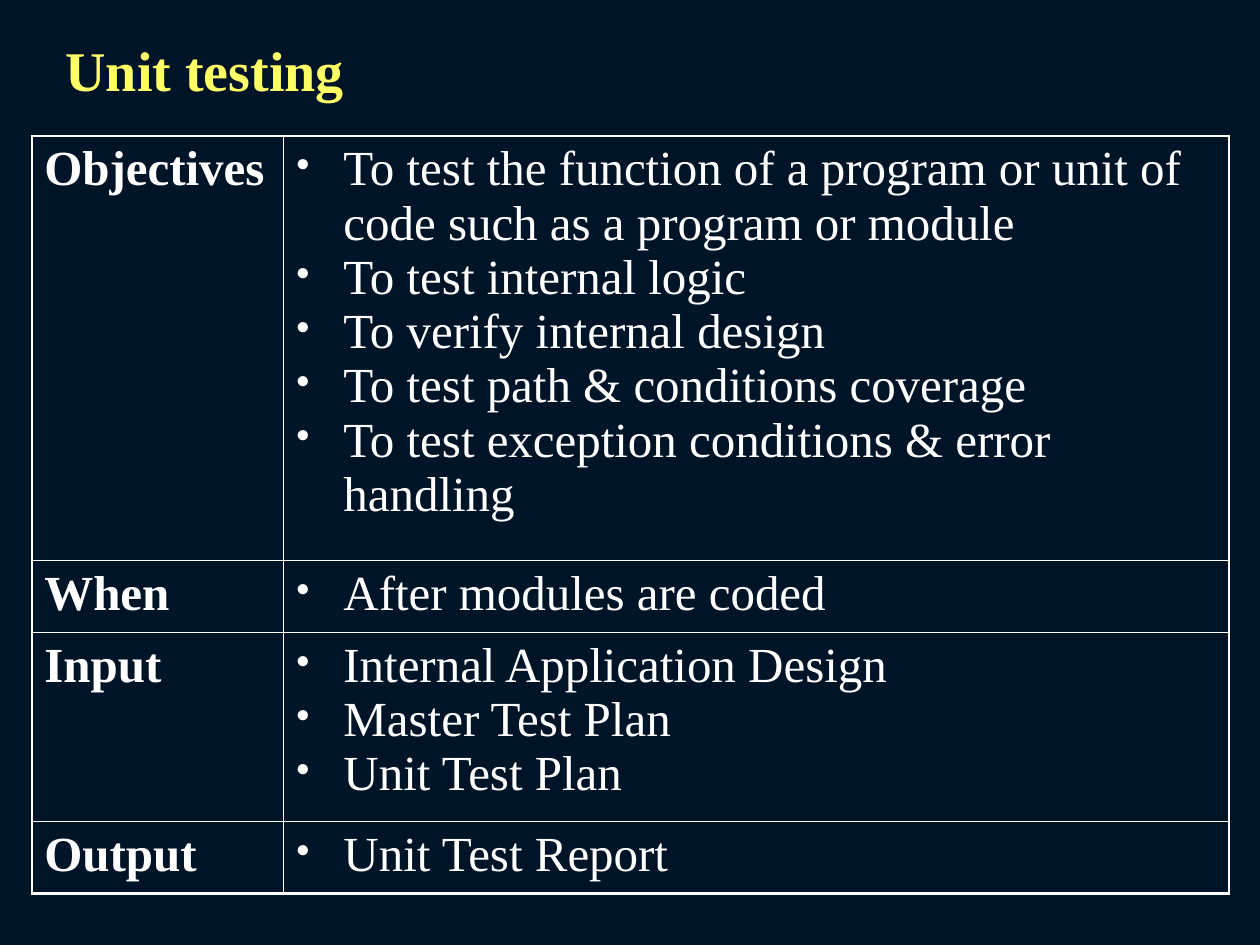
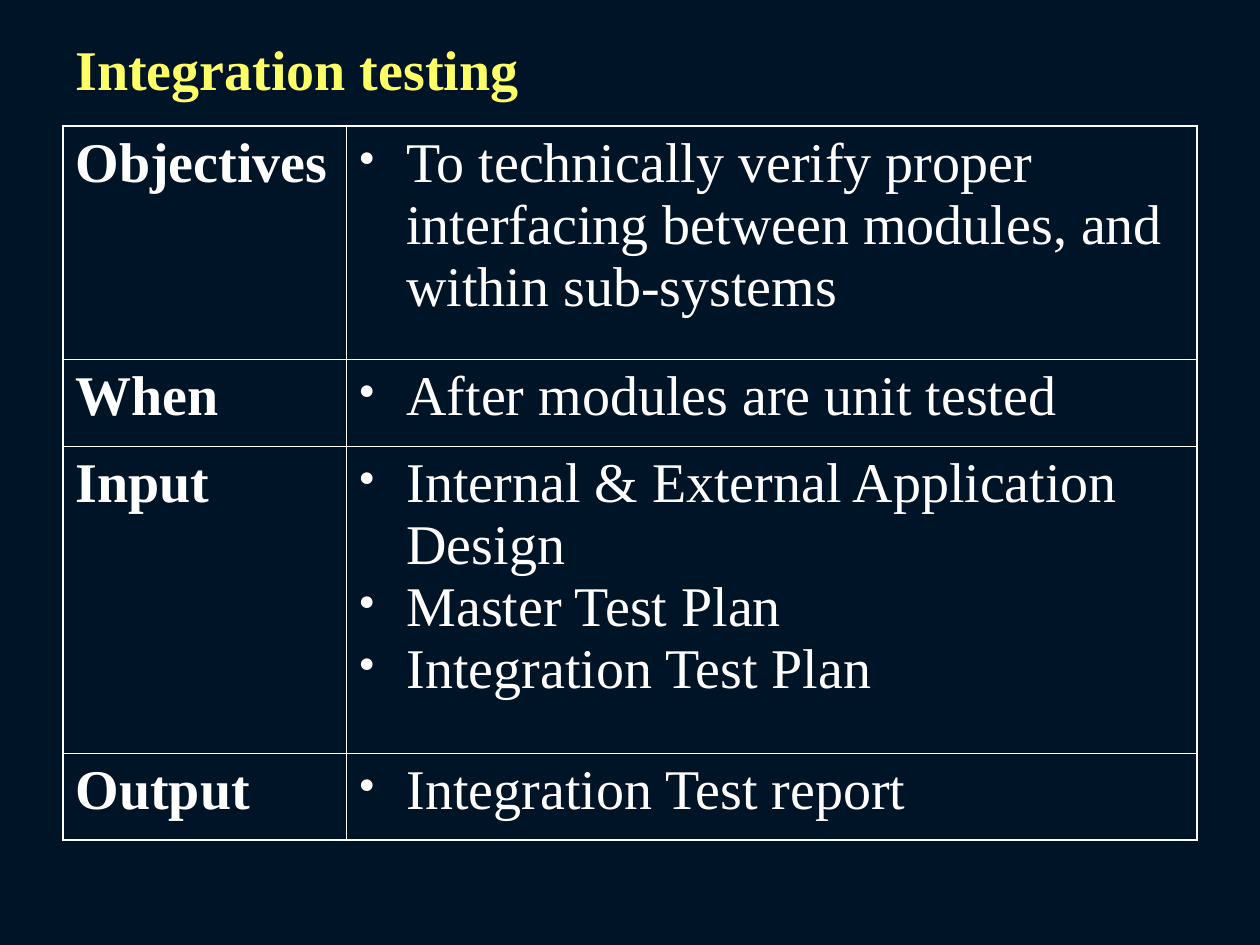
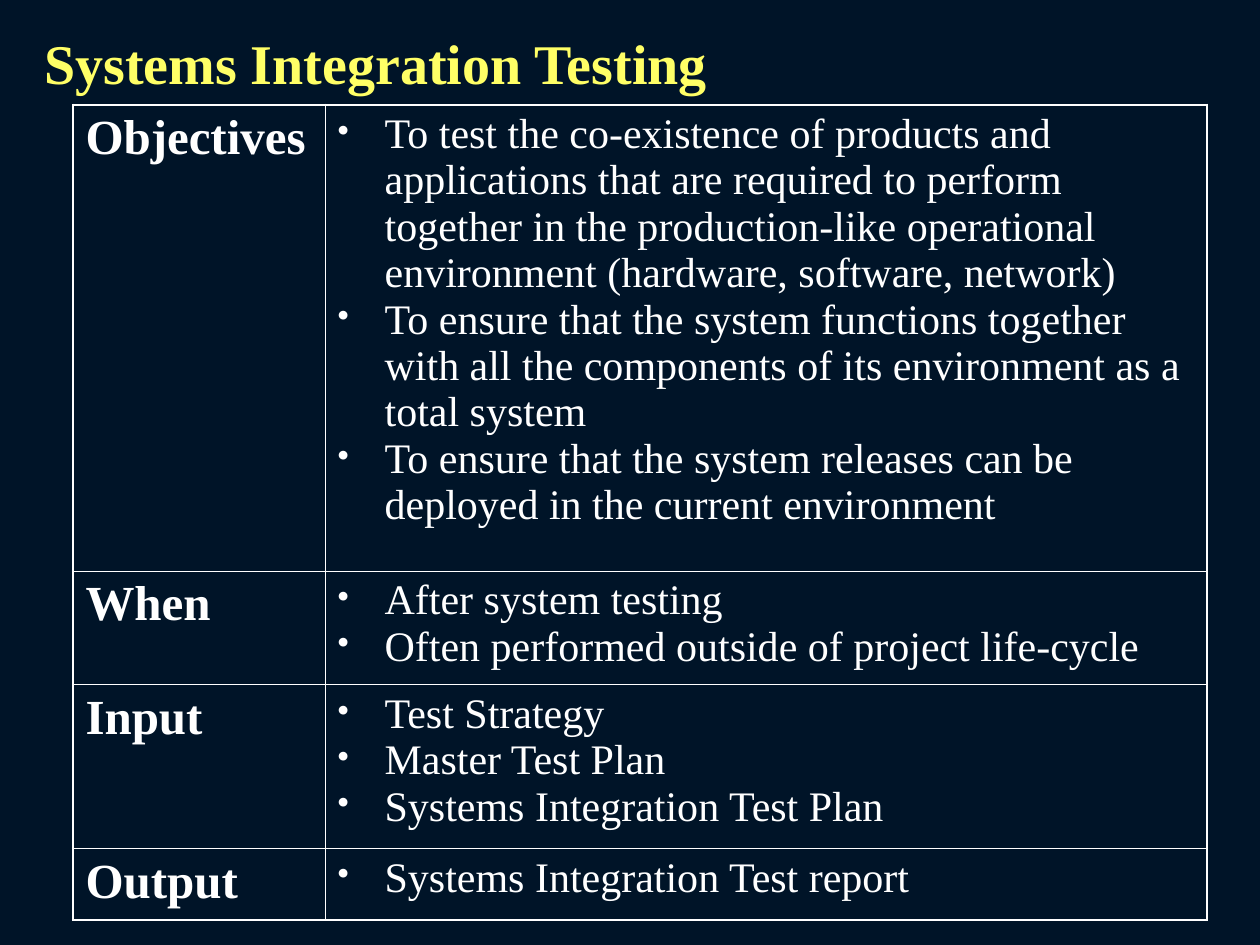
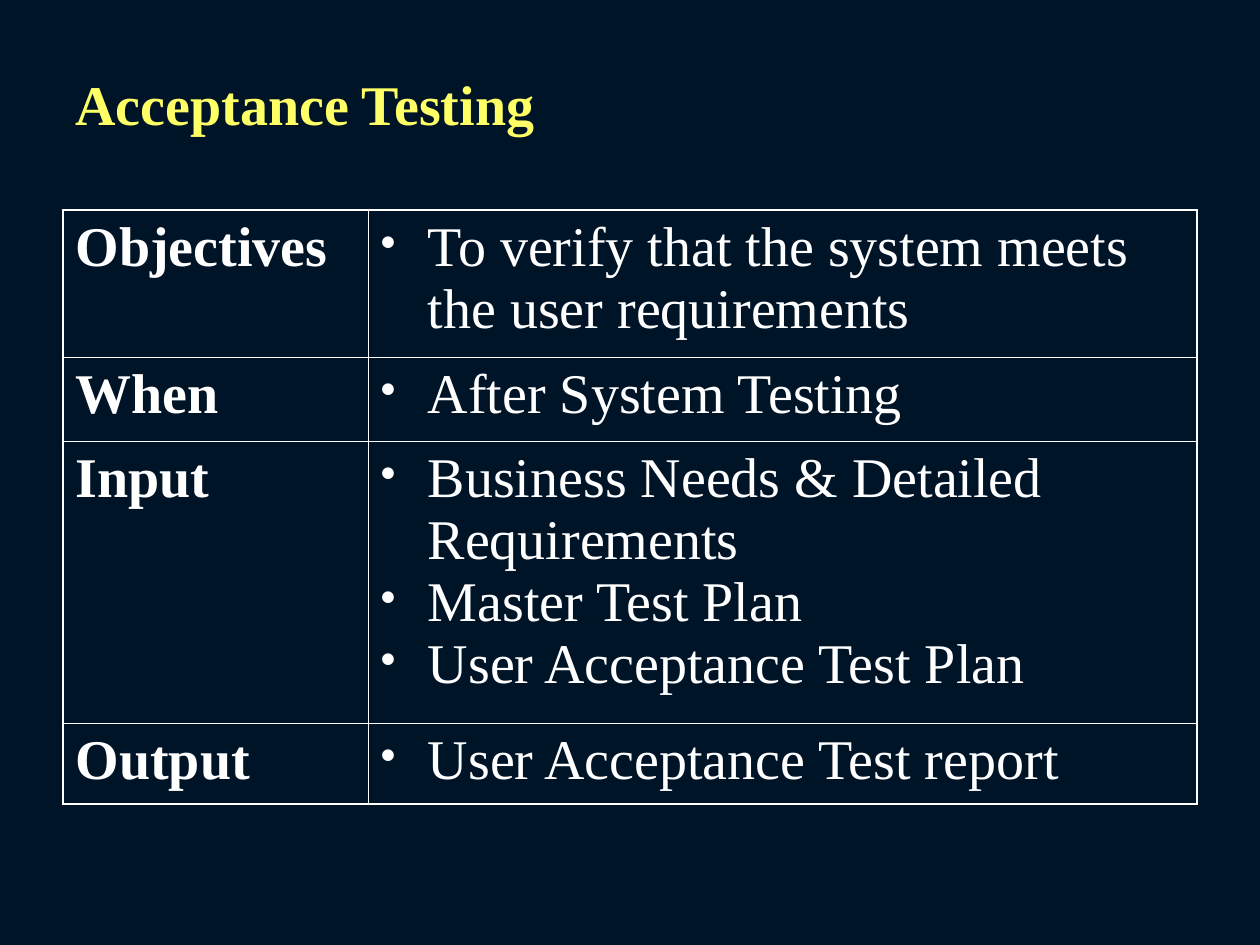
from lxml import etree
from pptx import Presentation
from pptx import util as u
from pptx.dml.color import RGBColor
from pptx.enum import text
from pptx.oxml import ns

NAVY = RGBColor(0x00, 0x14, 0x28)
YELLOW = RGBColor(0xFF, 0xFF, 0x66)
WHITE = RGBColor(0xFF, 0xFF, 0xFF)

LABELS = ("Objectives", "When", "Input", "Output")


class Deck:
    font = "Times New Roman"
    title_size = 32
    title_height = 1.63
    indent = u.Cm(0.95)
    outer_line = u.Pt(1.47)
    inner_line = u.Pt(0.45)

    def __init__(self):
        self.prs = Presentation()
        self.prs.slide_width = u.Cm(25.4)
        self.prs.slide_height = u.Cm(19.05)
        self.s = None

    def slide(self):
        self.s = self.prs.slides.add_slide(self.prs.slide_layouts[6])
        fill = self.s.background.fill
        fill.solid()
        fill.fore_color.rgb = NAVY

    def run(self, p, words, size, color, bold):
        r = p.add_run()
        r.text = words
        for key, value in {"name": self.font, "size": u.Pt(size), "bold": bold}.items():
            setattr(r.font, key, value)
        r.font.color.rgb = color

    def title(self, words, left, top, width, wrap=True, align=text.PP_ALIGN.LEFT):
        sp = self.s.shapes.add_textbox(*map(u.Cm, (left, top, width, self.title_height)))
        tf = sp.text_frame
        settings = {
            "word_wrap": wrap,
            "auto_size": text.MSO_AUTO_SIZE.SHAPE_TO_FIT_TEXT,
            "vertical_anchor": text.MSO_ANCHOR.MIDDLE,
        }
        for key, value in settings.items():
            setattr(tf, key, value)
        p = tf.paragraphs[0]
        p.alignment = align
        self.run(p, words, self.title_size, YELLOW, True)

    def hang(self, p, bullet):
        pPr = p._p.get_or_add_pPr()
        pPr.set("marL", str(self.indent))
        pPr.set("indent", str(-self.indent))
        if bullet:
            color = etree.SubElement(pPr, ns.qn("a:buClr"))
            etree.SubElement(color, ns.qn("a:srgbClr"), val=str(WHITE))
            etree.SubElement(pPr, ns.qn("a:buSzPct"), val="80000")
            etree.SubElement(pPr, ns.qn("a:buChar"), char="•")

    def borders(self, cell, outer):
        tcPr = cell._tc.get_or_add_tcPr()
        for i, side in enumerate("LRTB"):
            width = self.outer_line if side in outer else self.inner_line
            ln = etree.Element(ns.qn(f"a:ln{side}"), w=str(width))
            fill = etree.SubElement(ln, ns.qn("a:solidFill"))
            etree.SubElement(fill, ns.qn("a:srgbClr"), val=str(WHITE))
            tcPr.insert(i, ln)

    def cell(self, cell, lines, size, outer, label):
        cell.fill.background()
        self.borders(cell, outer)
        tf = cell.text_frame
        for i, words in enumerate(lines):
            p = tf.add_paragraph() if i else tf.paragraphs[0]
            self.hang(p, not label)
            self.run(p, words, size, WHITE, label)

    def table(self, left, top, cols, rows, contents, label_size, text_size):
        box = (left, top, sum(cols), sum(rows))
        tbl = self.s.shapes.add_table(len(rows), len(cols), *map(u.Cm, box)).table
        for flag in ("first_row", "horz_banding"):
            setattr(tbl, flag, False)
        for col, width in zip(tbl.columns, cols):
            col.width = u.Cm(width)
        for row, height in zip(tbl.rows, rows):
            row.height = u.Cm(height)
        last = len(rows) - 1
        for i, (label, lines) in enumerate(zip(LABELS, contents)):
            edge = ("T" if i == 0 else "") + ("B" if i == last else "")
            self.cell(tbl.cell(i, 0), [label], label_size, edge + "L", True)
            self.cell(tbl.cell(i, 1), lines, text_size, edge + "R", False)


def main():
    deck = Deck()

    deck.slide()
    deck.title("Unit testing", 1.07, 0.58, 22.66)
    deck.table(0.64, 2.74, (5.08, 19.05), (8.56, 1.45, 3.81, 1.45), (
        ["To test the function of a program or unit of code such as a program or module",
         "To test internal logic",
         "To verify internal design",
         "To test path & conditions coverage",
         "To test exception conditions & error handling"],
        ["After modules are coded"],
        ["Internal Application Design", "Master Test Plan", "Unit Test Plan"],
        ["Unit Test Report"],
    ), 28, 28)

    deck.slide()
    deck.title("Integration testing", 1.27, 0.56, 9.73, wrap=False)
    deck.table(1.27, 2.54, (5.72, 17.14), (4.7, 1.75, 6.2, 1.75), (
        ["To technically verify proper interfacing between modules, and within sub-systems"],
        ["After modules are unit tested"],
        ["Internal & External Application Design", "Master Test Plan",
         "Integration Test Plan"],
        ["Integration Test report"],
    ), 32, 32)

    deck.slide()
    deck.title("Systems Integration Testing", 0.64, 0.43, 15.04)
    deck.table(1.47, 2.11, (5.08, 17.78), (9.4, 2.29, 3.3, 1.45), (
        ["To test the co-existence of products and applications that are required to "
         "perform together in the production-like operational environment "
         "(hardware, software, network)",
         "To ensure that the system functions together with all the components of its "
         "environment as a total system",
         "To ensure that the system releases can be deployed in the current environment"],
        ["After system testing", "Often performed outside of project life-cycle"],
        ["Test Strategy", "Master Test Plan", "Systems Integration Test Plan"],
        ["Systems Integration Test report"],
    ), 28, 24)

    deck.slide()
    deck.title("Acceptance Testing", 1.27, 1.27, 9.88, wrap=False,
               align=text.PP_ALIGN.JUSTIFY)
    deck.table(1.27, 4.24, (6.15, 16.71), (2.97, 1.68, 5.69, 1.63), (
        ["To verify that the system meets the user requirements"],
        ["After System Testing"],
        ["Business Needs & Detailed Requirements", "Master Test Plan",
         "User Acceptance Test Plan"],
        ["User Acceptance Test report"],
    ), 32, 32)

    deck.prs.save("out.pptx")


if __name__ == "__main__":
    main()
